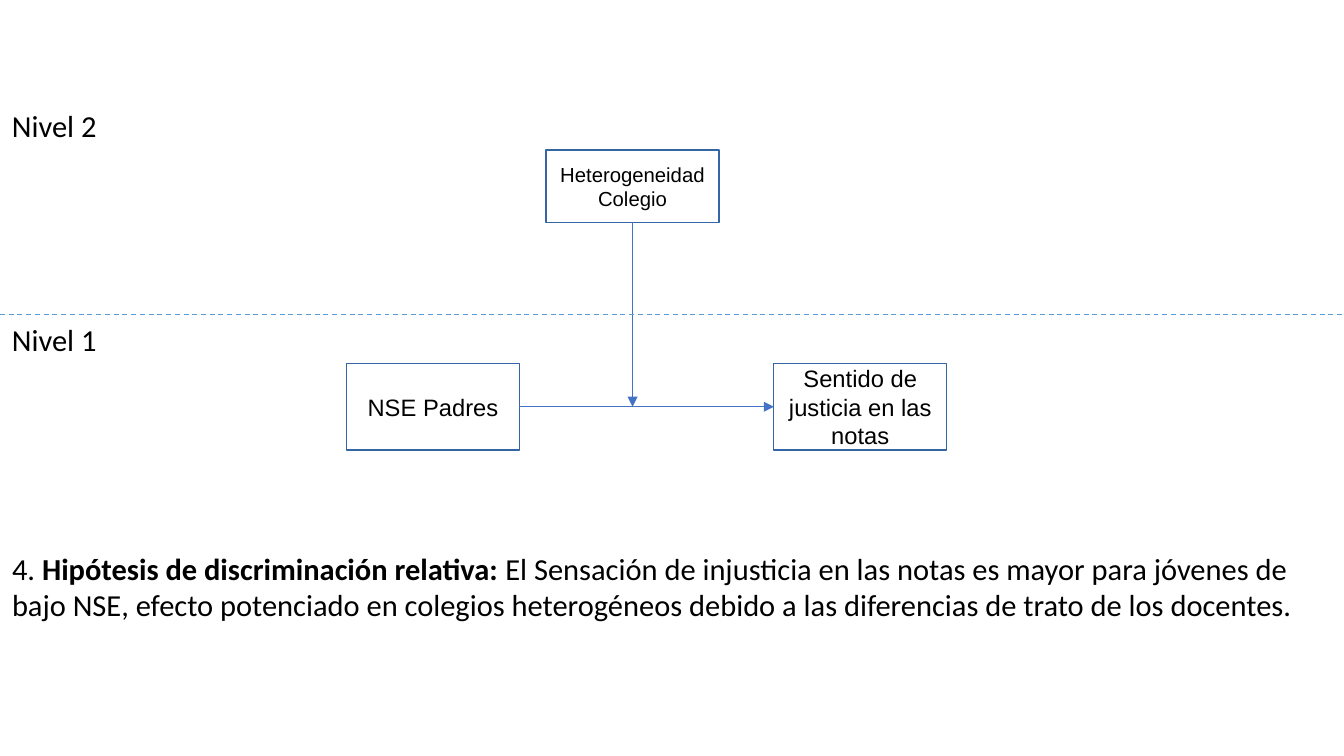
from dataclasses import dataclass
from typing import NamedTuple

from lxml import etree
from pptx import Presentation
from pptx import util as u
from pptx.dml import color as col
from pptx.enum import dml, shapes, text
from pptx.oxml import ns

Pt = u.Pt


@dataclass(frozen=True)
class Theme:
    ink: str = "000000"
    paper: str = "FFFFFF"
    edge: str = "3465A4"
    arrow: str = "4472C4"
    split: str = "5B9BD5"
    box_font: str = "Arial"
    text_font: str = "Calibri"
    small: float = 12
    mid: float = 14
    large: float = 18


class Run(NamedTuple):
    words: str
    bold: bool = False


class Box(NamedTuple):
    words: str
    left: float
    top: float
    high: float
    size: float


class Note(NamedTuple):
    runs: list[Run]
    top: float
    wide: float
    high: float
    wrap: bool


look = Theme()
WIDE, HIGH = 793.44, 446.4
BOX_WIDE = 102.1
SPLIT = 185.8   # height of the line between the levels
LOW = 214.6     # top of the level 1 boxes
LOW_HIGH = 51.2


def rgb(code: str) -> col.RGBColor:
    return col.RGBColor.from_string(code)


def add_runs(para, runs: list[Run], font: str, size: float) -> None:
    for item in runs:
        run = para.add_run()
        run.text = item.words
        run.font.name = font
        run.font.size = Pt(size)
        run.font.bold = item.bold
        run.font.color.rgb = rgb(look.ink)


def add_box(slide, box: Box):
    shape = slide.shapes.add_shape(
        shapes.MSO_SHAPE.RECTANGLE,
        Pt(box.left), Pt(box.top), Pt(BOX_WIDE), Pt(box.high))
    shape.shadow.inherit = False
    shape.fill.solid()
    shape.fill.fore_color.rgb = rgb(look.paper)
    shape.line.color.rgb = rgb(look.edge)
    shape.line.width = Pt(0)
    frame = shape.text_frame
    frame.word_wrap = True
    frame.vertical_anchor = text.MSO_ANCHOR.MIDDLE
    para = frame.paragraphs[0]
    para.alignment = text.PP_ALIGN.CENTER
    add_runs(para, [Run(box.words)], look.box_font, box.size)
    return shape


def add_line(slide, x1: float, y1: float, x2: float, y2: float,
             hue: str, width: float, head: bool = False):
    line = slide.shapes.add_connector(
        shapes.MSO_CONNECTOR.STRAIGHT, Pt(x1), Pt(y1), Pt(x2), Pt(y2))
    line.line.color.rgb = rgb(hue)
    line.line.width = Pt(width)
    if head:
        tail = etree.SubElement(line.line._get_or_add_ln(), ns.qn("a:tailEnd"))
        tail.set("type", "triangle")
    etree.SubElement(line._element.spPr, ns.qn("a:effectLst"))
    return line


def add_note(slide, note: Note) -> None:
    shape = slide.shapes.add_textbox(
        0, Pt(note.top), Pt(note.wide), Pt(note.high))
    frame = shape.text_frame
    frame.word_wrap = note.wrap
    frame.auto_size = text.MSO_AUTO_SIZE.SHAPE_TO_FIT_TEXT
    add_runs(frame.paragraphs[0], note.runs, look.text_font, look.large)


deck = Presentation()
deck.slide_width, deck.slide_height = Pt(WIDE), Pt(HIGH)
slide = deck.slides.add_slide(deck.slide_layouts[6])

# Cause and effect on level 1
cause = Box("NSE Padres", 204.6, LOW, LOW_HIGH, look.mid)
effect = Box("Sentido de justicia en las notas", 456.9, LOW, LOW_HIGH, look.mid)
start, end = add_box(slide, cause), add_box(slide, effect)
mid = LOW + LOW_HIGH / 2
link = add_line(slide, cause.left + BOX_WIDE, mid, effect.left, mid,
                look.arrow, 0.51, head=True)
link.begin_connect(start, 3)
link.end_connect(end, 1)

# Moderator on level 2, pointing at the link
factor = Box("Heterogeneidad Colegio", 322.4, 88.6, 42.6, look.small)
add_box(slide, factor)
axis = factor.left + BOX_WIDE / 2
add_line(slide, axis, factor.top + factor.high, axis, mid,
         look.arrow, 0.51, head=True)

# Border between the levels
border = add_line(slide, 0, SPLIT, WIDE, SPLIT, look.split, 0.74)
border.line.dash_style = dml.MSO_LINE.DASH

# Level labels and hypothesis
notes = [
    Note([Run("Nivel 1")], SPLIT, 64.8, 29, False),
    Note([Run("Nivel 2")], 59.8, 64.8, 29, False),
    Note([Run("4. "),
          Run("Hipótesis de discriminación relativa: ", True),
          Run("El Sensación de injusticia en las notas es mayor para jóvenes "
              "de bajo NSE, efecto potenciado en colegios heterogéneos debido "
              "a las diferencias de trato de los docentes.")],
         321.1, WIDE, 51, True),
]
for note in notes:
    add_note(slide, note)

deck.save("out.pptx")
